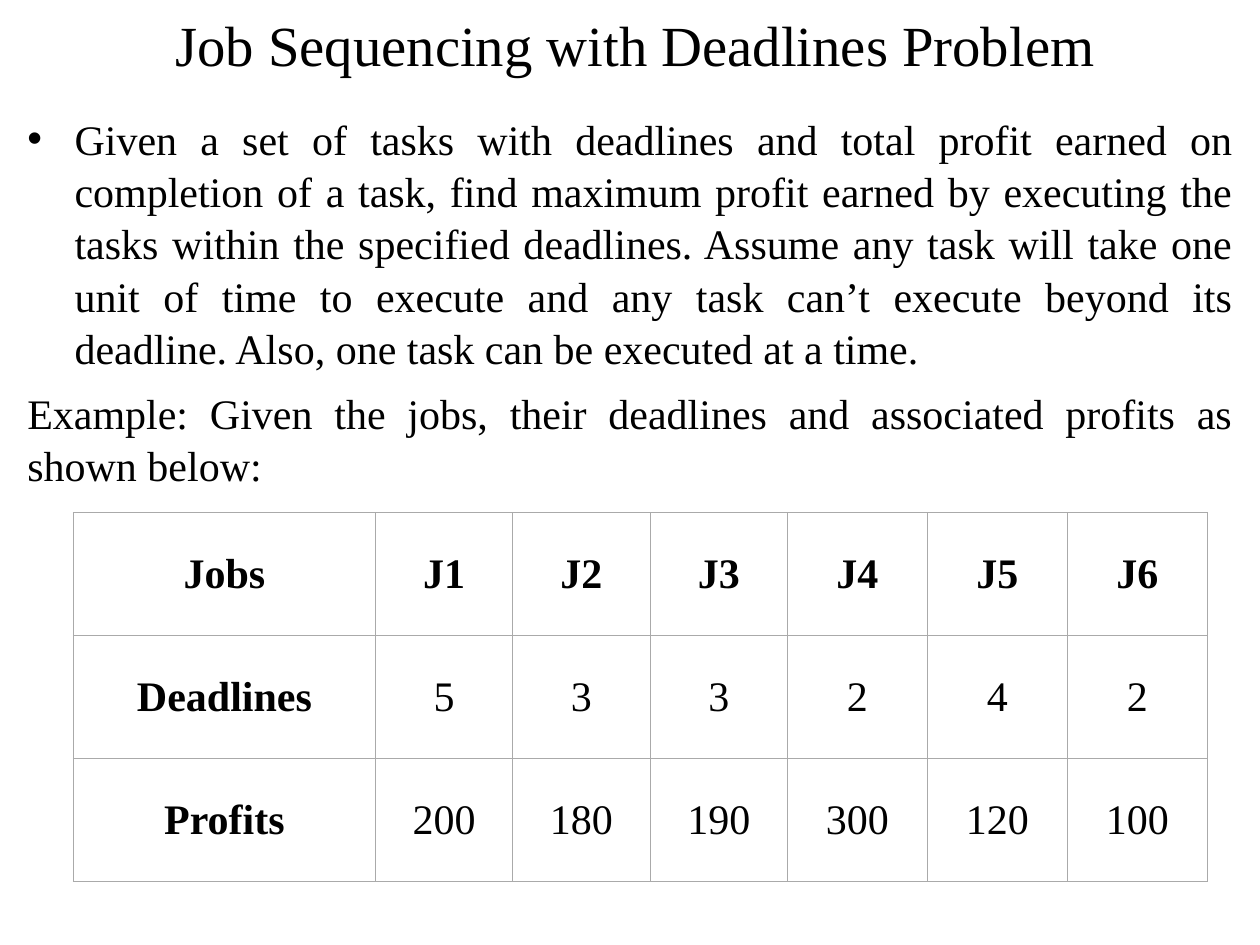
import pptx
import pptx.util
import pptx.dml.color
import pptx.enum.text
import pptx.oxml
import pptx.oxml.ns

Pt = pptx.util.Pt
Color = pptx.dml.color.RGBColor.from_string
Align = pptx.enum.text.PP_ALIGN
Anchor = pptx.enum.text.MSO_ANCHOR

theme = {
    "font": "Times New Roman",
    "ink": "000000",
    "paper": "FFFFFF",
    "rule": "AAAAAA",
    "title": 32.4,
    "body": 24,
}


def write(para, text, size, align, bold=False):
    para.alignment = align
    run = para.add_run()
    run.text = text
    run.font.name = theme["font"]
    run.font.size = Pt(size)
    run.font.bold = bold
    run.font.color.rgb = Color(theme["ink"])


def frame(left, top, width, height, anchor):
    box = slide.shapes.add_textbox(Pt(left), Pt(top), Pt(width), Pt(height))
    text = box.text_frame
    text.word_wrap = True
    text.vertical_anchor = anchor
    text.margin_left = text.margin_right = Pt(3.6)
    text.margin_top = text.margin_bottom = Pt(3.6)
    return text


deck = pptx.Presentation()
deck.slide_width = Pt(720)
deck.slide_height = Pt(540)
slide = deck.slides.add_slide(deck.slide_layouts[6])
slide.background.fill.solid()
slide.background.fill.fore_color.rgb = Color(theme["paper"])

title = frame(18, 6, 690, 38, Anchor.MIDDLE)
write(title.paragraphs[0], "Job Sequencing with Deadlines Problem", theme["title"], Align.CENTER)

body = frame(12, 60, 696, 468, Anchor.TOP)
task = body.paragraphs[0]
props = task._p.get_or_add_pPr()
props.set("marL", str(Pt(27)))
props.set("indent", str(Pt(-27)))
space = pptx.oxml.ns.nsdecls("a")
props.append(pptx.oxml.parse_xml(f'<a:buFont {space} typeface="Arial"/>'))
props.append(pptx.oxml.parse_xml(f'<a:buChar {space} char="•"/>'))
task.line_spacing = 1.04
write(
    task,
    "Given a set of tasks with deadlines and total profit earned on completion of a task, "
    "find maximum profit earned by executing the tasks within the specified deadlines. "
    "Assume any task will take one unit of time to execute and any task can’t execute "
    "beyond its deadline. Also, one task can be executed at a time.",
    theme["body"],
    Align.JUSTIFY,
)
lead = body.add_paragraph()
lead.line_spacing = 1.04
lead.space_before = Pt(7)
write(
    lead,
    "Example: Given the jobs, their deadlines and associated profits as shown below:",
    theme["body"],
    Align.JUSTIFY,
)

rows = [
    ["Jobs", "J1", "J2", "J3", "J4", "J5", "J6"],
    ["Deadlines", "5", "3", "3", "2", "4", "2"],
    ["Profits", "200", "180", "190", "300", "120", "100"],
]
widths = [172.5] + [78.5] * 3 + [80] * 3
high = 70.3
grid = slide.shapes.add_table(
    len(rows), len(widths), Pt(42), Pt(293), Pt(sum(widths)), Pt(high * len(rows))
).table
for col, width in zip(grid.columns, widths):
    col.width = Pt(width)
for r, row in enumerate(rows):
    grid.rows[r].height = Pt(high)
    for c, text in enumerate(row):
        cell = grid.cell(r, c)
        cell.vertical_anchor = Anchor.MIDDLE
        cell.margin_left = cell.margin_right = Pt(7.2)
        cell.margin_top = cell.margin_bottom = Pt(5.76)
        write(cell.text_frame.paragraphs[0], text, theme["body"], Align.CENTER, r == 0 or c == 0)
        edges = cell._tc.get_or_add_tcPr()
        for side in ("lnL", "lnR", "lnT", "lnB"):
            edges.append(pptx.oxml.parse_xml(
                f'<a:{side} {space} w="{Pt(0.75)}"><a:solidFill>'
                f'<a:srgbClr val="{theme["rule"]}"/></a:solidFill></a:{side}>'
            ))
        cell.fill.solid()
        cell.fill.fore_color.rgb = Color(theme["paper"])

deck.save("out.pptx")
